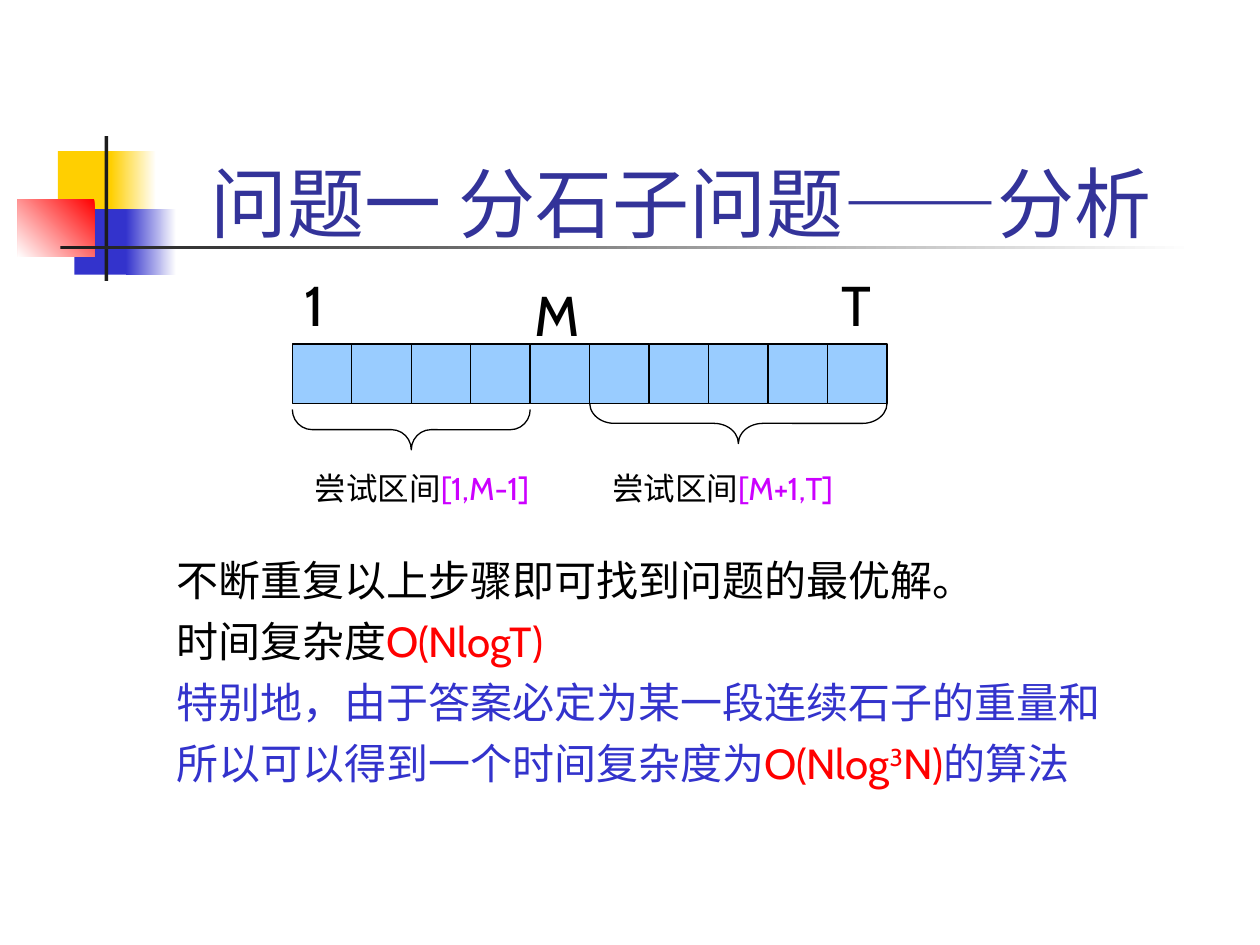
from dataclasses import dataclass

from pptx import Presentation
from pptx import util as u
from pptx.dml.color import RGBColor
from pptx.enum import lang, shapes, text


@dataclass(frozen=True)
class Theme:
    font: str = "Cabin"
    title: int = 44
    mark: int = 32
    body: int = 24
    note: int = 18
    black: str = "000000"
    white: str = "FFFFFF"
    dark: str = "1C1C1C"
    gold: str = "FFCF01"
    blue: str = "3333CC"
    navy: str = "333399"
    red: str = "FF0000"
    sky: str = "99CCFF"
    pink: str = "CC00FF"


class Deck:
    def __init__(self, theme):
        self.theme = theme
        self.prs = Presentation()
        self.prs.slide_width = u.Inches(10)
        self.prs.slide_height = u.Inches(7.5)
        self.slide = self.prs.slides.add_slide(self.prs.slide_layouts[6])

    def shape(self, kind, box, line=None):
        item = self.slide.shapes.add_shape(kind, *map(u.Inches, box))
        item.shadow.inherit = False
        if line:
            item.line.color.rgb = RGBColor.from_string(line)
            item.line.width = u.Pt(0.75)
        else:
            item.line.fill.background()
        return item

    def rect(self, box, color, line=None):
        fill = self.shape(shapes.MSO_SHAPE.RECTANGLE, box, line).fill
        fill.solid()
        fill.fore_color.rgb = RGBColor.from_string(color)

    def fade(self, box, color, angle=0):
        """Rectangle that fades from a colour to white."""
        fill = self.shape(shapes.MSO_SHAPE.RECTANGLE, box).fill
        fill.gradient()
        fill.gradient_angle = angle
        for stop, tone in zip(fill.gradient_stops, (color, self.theme.white)):
            stop.color.rgb = RGBColor.from_string(tone)

    def brace(self, left, top, width, curve):
        """Brace that opens upwards: a right brace turned by 90 degrees."""
        depth = 0.32
        box = (left + (width - depth) / 2, top + (depth - width) / 2, depth, width)
        item = self.shape(shapes.MSO_SHAPE.RIGHT_BRACE, box, self.theme.black)
        item.rotation = 90
        item.fill.background()
        item.adjustments[0] = curve

    def text(self, box, lines, size, gap=0, inset=0.1, low=False):
        """Each line is a list of (words, colour) or (words, colour, baseline)."""
        frame = self.slide.shapes.add_textbox(*map(u.Inches, box)).text_frame
        frame.word_wrap = True
        frame.margin_left = u.Inches(inset)
        if low:
            frame.vertical_anchor = text.MSO_ANCHOR.BOTTOM
        for i, line in enumerate(lines):
            para = frame.add_paragraph() if i else frame.paragraphs[0]
            para.font.name = self.theme.font
            para.font.size = u.Pt(size)
            para.space_before = u.Pt(gap)
            for words, color, *base in line:
                run = para.add_run()
                run.text = words
                run.font.color.rgb = RGBColor.from_string(color)
                run.font.language_id = lang.MSO_LANGUAGE_ID.SIMPLIFIED_CHINESE
                if base:
                    run.font._element.set("baseline", str(base[0] * 1000))


def main():
    t = Theme()
    deck = Deck(t)

    # Corner ornament and title rule
    deck.rect((0.46, 1.2, 0.48, 0.52), t.gold)
    deck.fade((0.88, 1.2, 0.36, 0.52), t.gold)
    deck.rect((0.59, 1.66, 0.46, 0.52), t.blue)
    deck.fade((1, 1.66, 0.4, 0.52), t.blue)
    deck.fade((0.14, 1.58, 0.61, 0.46), t.red, 225)
    deck.rect((0.83, 1.08, 0.03, 1.15), t.dark)
    deck.fade((0.48, 1.95, 9, 0.03), t.dark)

    # Title
    deck.text((0.35, 0.52, 9, 1.5), [[("问题一 分石子问题——分析", t.navy)]],
              t.title, inset=1.32, low=True)

    # Row of stones
    left, top, count = 2.32, 2.73, 10
    cell = 4.72 / count
    for i in range(count):
        deck.rect((left + i * cell, top, cell, cell), t.sky, t.black)

    # Position marks above the row
    for mark, x, y in (("1", 2.32, 2.1), ("M", 4.14, 2.18), ("T", 6.58, 2.1)):
        deck.text((x, y, 1.02, 0.64), [[(mark, t.black)]], t.mark)

    # Intervals on both sides of M: first cell, cells, brace top, curve, range
    spans = ((0, 4, 3.25, 0.49, "[1,M-1]"), (5, 5, 3.2, 0.61, "[M+1,T]"))
    for first, cells, y, curve, name in spans:
        x = left + first * cell
        deck.brace(x, y, cells * cell, curve)
        deck.text((x + 0.08, 3.67, 2.2, 0.4),
                  [[("尝试区间", t.black), (name, t.pink)]], t.note)

    # Conclusions
    deck.text((1.3, 4.35, 8.5, 2.1), [
        [("不断重复以上步骤即可找到问题的最优解。", t.black)],
        [("时间复杂度", t.black), ("O(NlogT)", t.red)],
        [("特别地，由于答案必定为某一段连续石子的重量和", t.blue)],
        [("所以可以得到一个时间复杂度为", t.blue), ("O(Nlog", t.red),
         ("3", t.red, 30), ("N)", t.red), ("的算法", t.blue)],
    ], t.body, gap=6)

    deck.prs.save("out.pptx")


if __name__ == "__main__":
    main()
